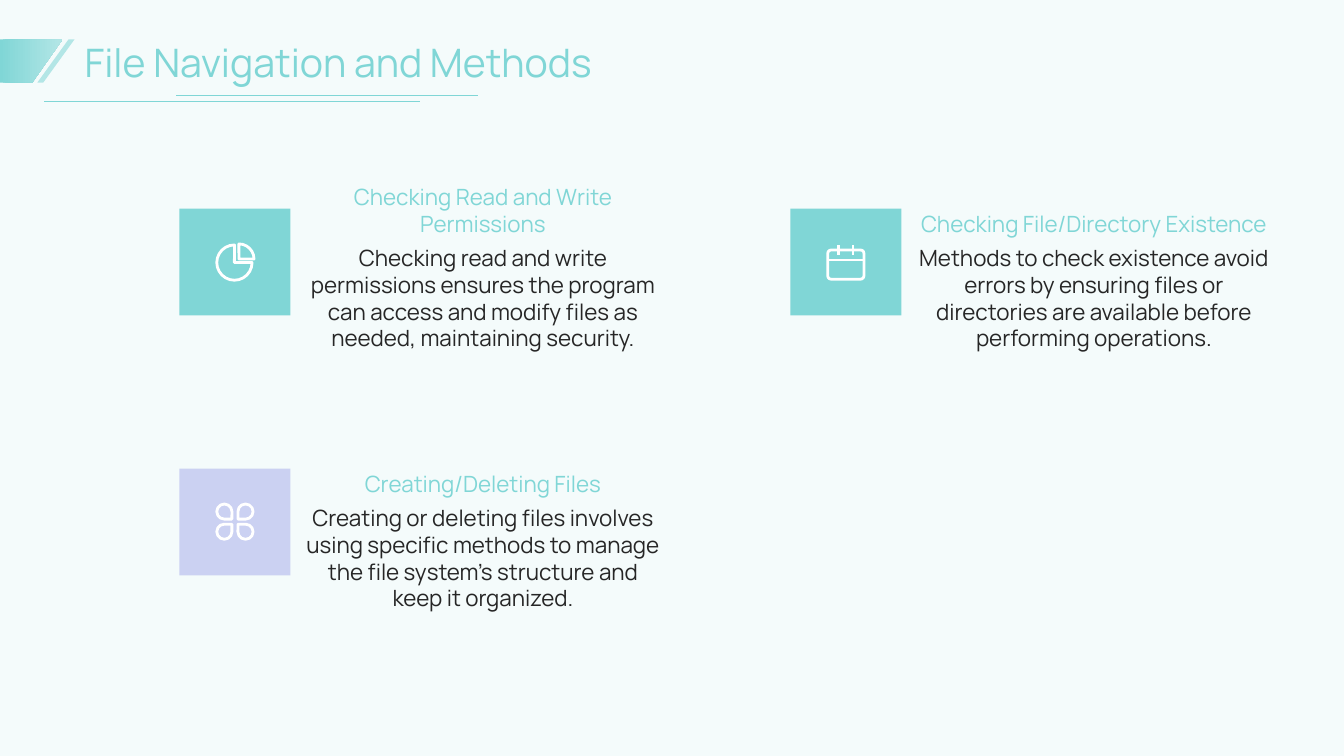
"""Build the File Navigation and Methods slide."""
from lxml import etree
from pptx import Presentation
from pptx.dml.color import RGBColor
from pptx.enum.shapes import MSO_CONNECTOR, MSO_SHAPE
from pptx.enum.text import MSO_ANCHOR, PP_ALIGN
from pptx.oxml.ns import qn
from pptx.util import Inches, Pt

RECT, ROUND = MSO_SHAPE.RECTANGLE, MSO_SHAPE.ROUNDED_RECTANGLE
PIE, TEAR, SLANT = MSO_SHAPE.PIE, MSO_SHAPE.TEAR, MSO_SHAPE.PARALLELOGRAM
LINE = MSO_CONNECTOR.STRAIGHT
TOP, MIDDLE, BOTTOM = MSO_ANCHOR.TOP, MSO_ANCHOR.MIDDLE, MSO_ANCHOR.BOTTOM
LEFT, CENTER = PP_ALIGN.LEFT, PP_ALIGN.CENTER
FONT = "Manrope"
COLORS = {name: RGBColor.from_string(code) for name, code in {
    "mist": "E6F7F7", "teal": "80D6D6", "pale": "B3E6E6",
    "lilac": "CBD1F2", "ink": "262626", "white": "FFFFFF"}.items()}

deck = Presentation()
deck.slide_width, deck.slide_height = Inches(13.33), Inches(7.5)
slide = deck.slides.add_slide(deck.slide_layouts[6])
shapes = slide.shapes


def draw(kind, x, y, w, h, fill=None):
    """Add a filled shape, or a white outline when no fill is given."""
    shape = shapes.add_shape(kind, Inches(x), Inches(y), Inches(w), Inches(h))
    shape.shadow.inherit = False
    if fill:
        shape.fill.solid()
        shape.fill.fore_color.rgb = COLORS[fill]
        shape.line.fill.background()
    else:
        shape.fill.background()
        shape.line.color.rgb = COLORS["white"]
        shape.line.width = Pt(2)
    return shape


def write(text, x, y, w, h, size, color, anchor, align):
    """Add a text box without margins."""
    box = shapes.add_textbox(Inches(x), Inches(y), Inches(w), Inches(h))
    frame = box.text_frame
    frame.word_wrap = True
    frame.vertical_anchor = anchor
    frame.margin_left = frame.margin_right = 0
    frame.margin_top = frame.margin_bottom = 0
    frame.text = text
    para = frame.paragraphs[0]
    para.alignment = align
    font = para.runs[0].font
    font.name, font.size = FONT, Pt(size)
    font.color.rgb = COLORS[color]


back = draw(RECT, 0, 0, 13.33, 7.5, "mist")
tint = back.fill._xPr.find(qn("a:solidFill"))[0]
etree.SubElement(tint, qn("a:alpha"), val="43000")

cards = [
    (1.78, 2.07, "teal", 0.72, "Checking Read and Write Permissions",
     "Checking read and write permissions ensures the program can access "
     "and modify files as needed, maintaining security."),
    (1.78, 4.65, "lilac", 0.28, "Creating/Deleting Files",
     "Creating or deleting files involves using specific methods to manage "
     "the file system's structure and keep it organized."),
    (7.84, 2.07, "teal", 0.72, "Checking File/Directory Existence",
     "Methods to check existence avoid errors by ensuring files or "
     "directories are available before performing operations."),
]
for x, y, color, high, head, body in cards:
    write(body, x + 1.22, y + 0.35, 3.58, 1.43, 16, "ink", TOP, CENTER)
    write(head, x + 1.22, y + 0.28 - high, 3.58, high, 16, "teal", BOTTOM, CENTER)
    draw(RECT, x, y, 1.1, 1.06, color)

draw(PIE, 2.15, 2.43, 0.35, 0.35)
slice = draw(PIE, 2.22, 2.42, 0.3, 0.3)
slice.adjustments[0], slice.adjustments[1] = 162, 0

for col, row, turn in [(0, 0, 90), (1, 0, 180), (0, 1, 0), (1, 1, 270)]:
    leaf = draw(TEAR, 2.15 + 0.21 * col, 5 + 0.2 * row, 0.15, 0.15)
    leaf.rotation = turn

page = draw(ROUND, 8.21, 2.48, 0.36, 0.29)
page.adjustments[0] = 0.12

write("File Navigation and Methods", 0.84, 0.36, 11.76, 0.51, 28, "teal", MIDDLE, LEFT)
slash = draw(SLANT, 0.37, 0.39, 0.37, 0.43, "pale")
slash.adjustments[0] = 0.84

pen = shapes.build_freeform(0, Inches(0.39))
pen.add_line_segments([(Inches(x), Inches(y)) for x, y in
                       [(0.62, 0.39), (0.32, 0.82), (0, 0.82)]], close=True)
flag = pen.convert_to_shape()
flag.shadow.inherit = False
flag.line.fill.background()
flag.fill.gradient()
flag.fill.gradient_angle = 0
for stop, name in zip(flag.fill.gradient_stops, ["teal", "pale"]):
    stop.color.rgb = COLORS[name]

lines = [
    (8.21, 2.58, 8.57, 2.58, "white", 2),
    (8.32, 2.43, 8.32, 2.53, "white", 2),
    (8.46, 2.43, 8.46, 2.53, "white", 2),
    (0.44, 1.01, 4.17, 1.01, "teal", 0.5),
    (1.75, 0.95, 4.74, 0.95, "teal", 0.5),
]
for x1, y1, x2, y2, color, width in lines:
    rule = shapes.add_connector(LINE, Inches(x1), Inches(y1), Inches(x2), Inches(y2))
    rule.line.color.rgb = COLORS[color]
    rule.line.width = Pt(width)
    etree.SubElement(rule._element.spPr, qn("a:effectLst"))

deck.save("out.pptx")
